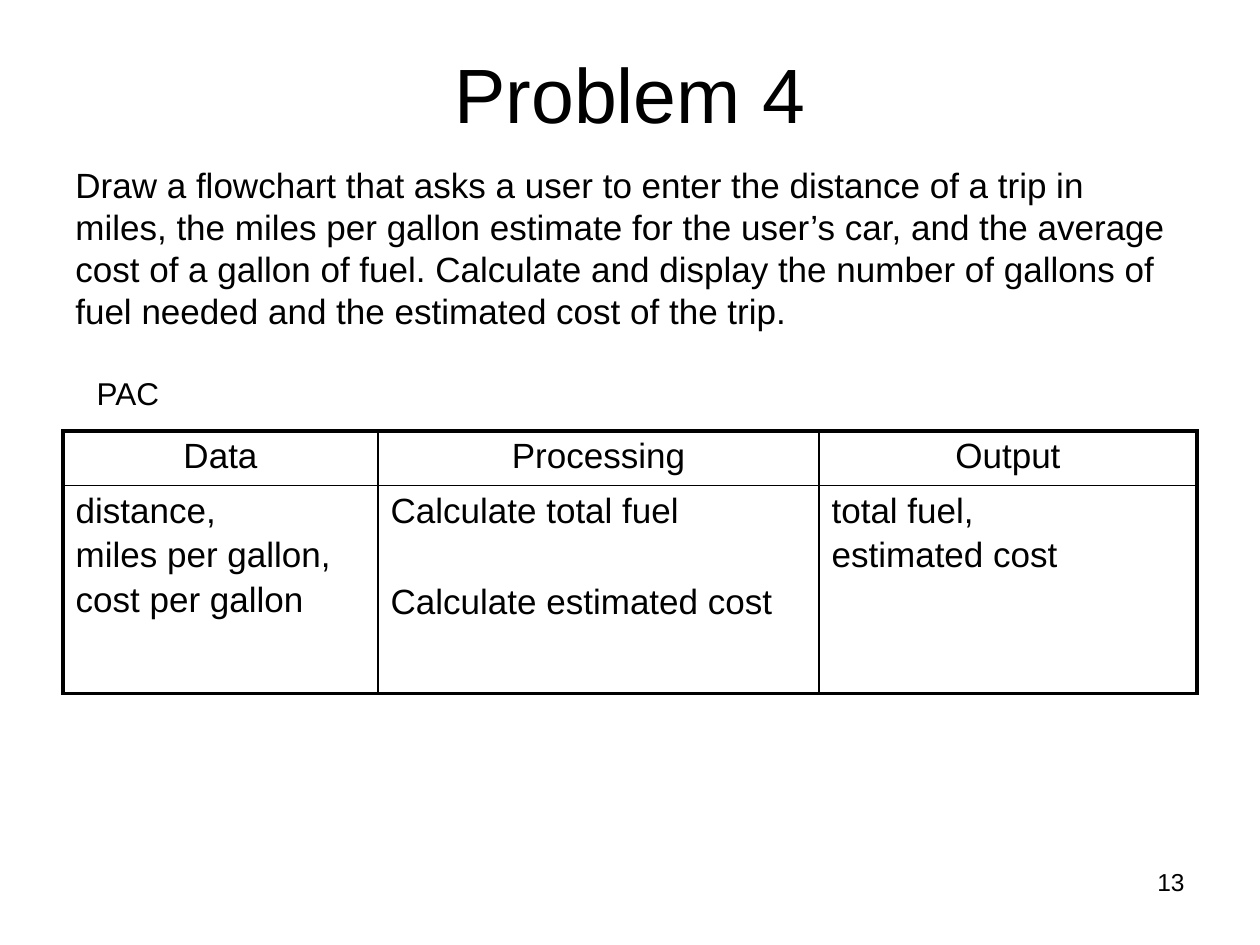
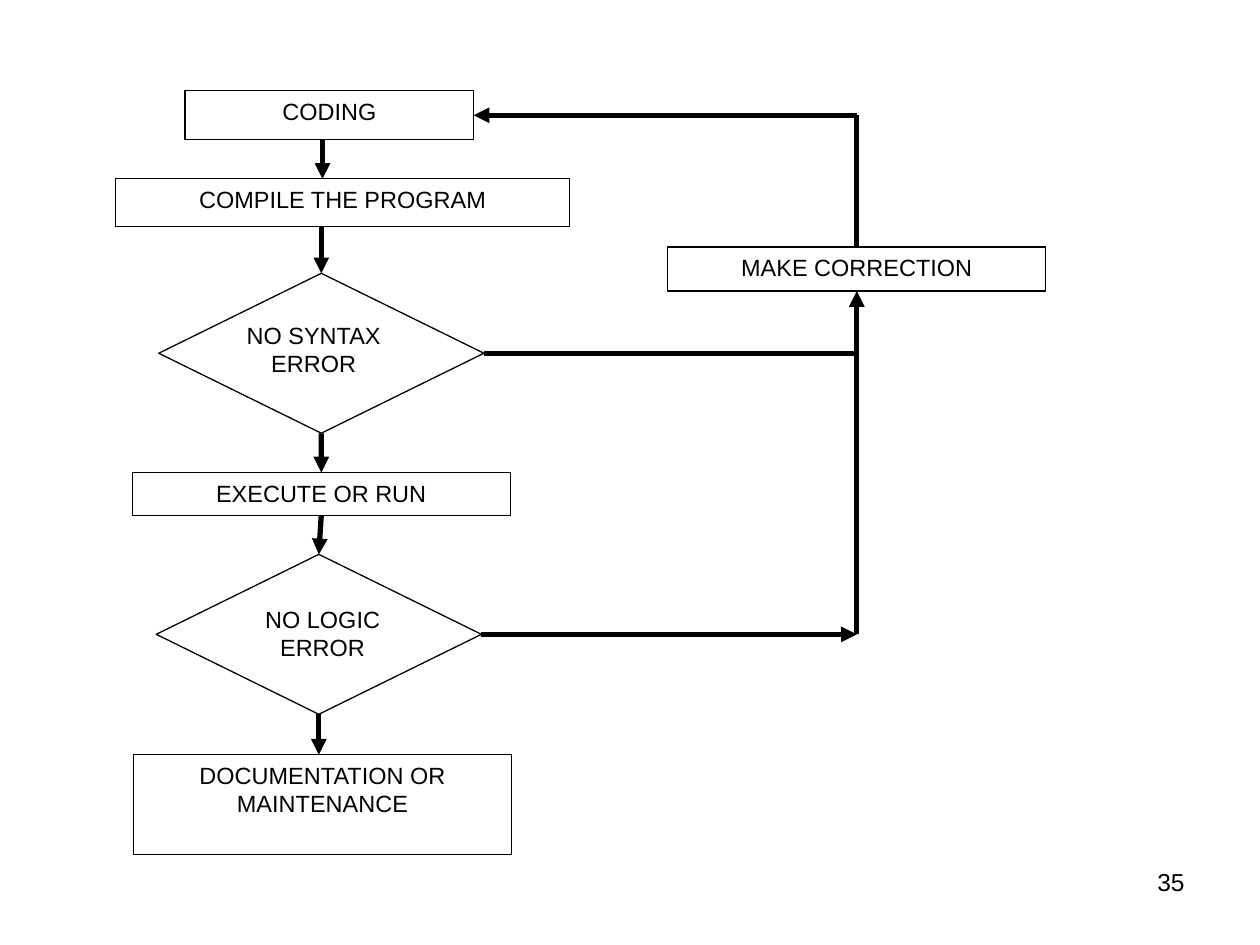
import lxml.etree
import pptx
import pptx.dml.color
import pptx.enum.shapes
import pptx.enum.text
import pptx.oxml.ns
import pptx.util

Pt = pptx.util.Pt
ALIGN = pptx.enum.text.PP_ALIGN
ANCHOR = pptx.enum.text.MSO_ANCHOR
SHAPE = pptx.enum.shapes.MSO_SHAPE
STRAIGHT = pptx.enum.shapes.MSO_CONNECTOR.STRAIGHT
TOP, LEFT, BOTTOM, RIGHT = range(4)


def color(text):
    return pptx.dml.color.RGBColor.from_string(text)


def add_element(parent, tag, **attributes):
    return lxml.etree.SubElement(parent, pptx.oxml.ns.qn(tag), attributes)


class Page:
    """Draws elements in the shared style on one slide of a deck."""

    font = "Arial"
    ink = "000000"
    paper = "FFFFFF"
    chart_size = 13.4

    def __init__(self, deck, number):
        self.slide = deck.slides.add_slide(deck.slide_layouts[6])
        self.shapes = self.slide.shapes
        background = self.slide.background.fill
        background.solid()
        background.fore_color.rgb = color(self.paper)
        self.text(str(number), 516.2, 491.8, 167.8, 37.4, 14, ALIGN.RIGHT)

    def set_text(self, frame, text, size, align, gaps=()):
        frame.text = text
        for para in frame.paragraphs:
            para.alignment = align
            for span in para.runs:
                span.font.name = self.font
                span.font.size = Pt(size)
                span.font.color.rgb = color(self.ink)
        for para, gap in zip(frame.paragraphs[1:], gaps):
            para.space_before = Pt(gap)

    def text(self, text, left, top, width, height, size,
             align=ALIGN.LEFT, anchor=ANCHOR.TOP, wrap=True):
        box = self.shapes.add_textbox(Pt(left), Pt(top), Pt(width), Pt(height))
        box.text_frame.word_wrap = wrap
        box.text_frame.vertical_anchor = anchor
        self.set_text(box.text_frame, text, size, align)

    def title(self, text):
        self.text(text, 36, 21.6, 648, 62.6, 44, ALIGN.CENTER, ANCHOR.MIDDLE)

    def shape(self, kind, left, top, width, height):
        shape = self.shapes.add_shape(kind, Pt(left), Pt(top), Pt(width), Pt(height))
        shape.shadow.inherit = False
        shape.fill.solid()
        shape.fill.fore_color.rgb = color(self.paper)
        shape.line.color.rgb = color(self.ink)
        shape.line.width = Pt(0.75)
        return shape

    def step(self, text, left, top, width, height):
        box = self.shape(SHAPE.RECTANGLE, left, top, width, height)
        frame = box.text_frame
        frame.word_wrap = True
        frame.vertical_anchor = ANCHOR.TOP
        frame.margin_left = frame.margin_right = Pt(0.7)
        self.set_text(frame, text, self.chart_size, ALIGN.CENTER)
        return box

    def decision(self, text, left, top, label_left, label_top):
        diamond = self.shape(SHAPE.DIAMOND, left, top, 185.8, 91.4)
        self.text(text, label_left, label_top, 119.5, 41, self.chart_size, ALIGN.CENTER)
        return diamond

    def line(self, start, end, arrow=True):
        """Join two ends, each a point (x, y) or a pair (shape, side)."""
        joined = [not isinstance(target, (int, float)) for target, _ in (start, end)]
        points = [(0, 0) if join else point for join, point in zip(joined, (start, end))]
        line = self.shapes.add_connector(STRAIGHT, *(Pt(v) for point in points for v in point))
        if joined[0]:
            line.begin_connect(*start)
        if joined[1]:
            line.end_connect(*end)
        line.line.color.rgb = color(self.ink)
        line.line.width = Pt(3)
        properties = line._element.spPr
        if arrow:
            add_element(properties.get_or_add_ln(), "a:tailEnd", type="triangle")
        add_element(properties, "a:effectLst")

    def border(self, cell, widths):
        properties = cell._tc.get_or_add_tcPr()
        for side, width in zip("LRTB", widths):
            edge = add_element(properties, f"a:ln{side}", w=str(Pt(width)))
            fill = add_element(edge, "a:solidFill")
            add_element(fill, "a:srgbClr", val=self.ink)

    def table(self, rows, left, top, widths, heights):
        last_row, last_column = len(heights) - 1, len(widths) - 1
        table = self.shapes.add_table(len(heights), len(widths), Pt(left), Pt(top),
                                      Pt(sum(widths)), Pt(sum(heights))).table
        table.first_row = table.horz_banding = False
        for column, width in zip(table.columns, widths):
            column.width = Pt(width)
        for r, (row, height) in enumerate(zip(rows, heights)):
            table.rows[r].height = Pt(height)
            for c, (text, gaps) in enumerate(row):
                cell = table.cell(r, c)
                outer = (c == 0, c == last_column, r == 0, r == last_row)
                self.border(cell, [2.25 if edge else 1 for edge in outer])
                cell.fill.solid()
                cell.fill.fore_color.rgb = color(self.paper)
                align = ALIGN.LEFT if r else ALIGN.CENTER
                self.set_text(cell.text_frame, text, 20, align, gaps)


def problem_page(deck):
    page = Page(deck, 13)
    page.title("Problem 4")
    page.text("Draw a flowchart that asks a user to enter the distance of a trip in miles, "
              "the miles per gallon estimate for the user’s car, and the average cost of a "
              "gallon of fuel. Calculate and display the number of gallons of fuel needed "
              "and the estimated cost of the trip.", 36, 90, 648, 392.4, 20)
    header = [(name, ()) for name in ("Data", "Processing", "Output")]
    analysis = [("distance,\nmiles per gallon,\ncost per gallon", (3, 3)),
                ("Calculate total fuel\nCalculate estimated cost", (29.5,)),
                ("total fuel,\nestimated cost", (3,))]
    page.table([header, analysis], 36, 246.2, (180, 252, 216), (31, 118.8))
    page.text("PAC", 48.2, 210.2, 50.4, 28.8, 18, wrap=False)


def flowchart_page(deck):
    page = Page(deck, 35)
    coding = page.step("CODING", 105.8, 51.8, 164.9, 28.1)
    page.step("COMPILE THE PROGRAM", 66.2, 102.2, 259.2, 27.4)
    syntax = page.decision("NO SYNTAX\nERROR", 90.7, 156.2, 119.5, 180)
    execute = page.step("EXECUTE OR RUN", 75.6, 270, 216, 24.5)
    logic = page.decision("NO LOGIC\nERROR", 89.3, 316.8, 124.6, 342)
    page.step("DOCUMENTATION OR MAINTENANCE", 76.3, 431.3, 216, 56.9)
    correction = page.step("MAKE CORRECTION", 381.6, 141.1, 216, 25.2)

    page.line((184.3, 79.9), (184.3, 102.2))
    page.line((183.6, 129.6), (syntax, TOP))
    page.line((syntax, BOTTOM), (execute, TOP))
    page.line((execute, BOTTOM), (logic, TOP))
    page.line((logic, BOTTOM), (182.2, 431.3))

    return_x, coding_y, syntax_y, logic_y = 489.6, 65.85, 201.9, 362.5
    page.line((syntax, RIGHT), (return_x, syntax_y), arrow=False)
    page.line((logic, RIGHT), (return_x, logic_y))
    page.line((return_x, logic_y), (return_x, syntax_y), arrow=False)
    page.line((return_x, syntax_y), (correction, BOTTOM))
    page.line((correction, TOP), (return_x, coding_y), arrow=False)
    page.line((return_x, coding_y), (coding, RIGHT))


def main():
    deck = pptx.Presentation()
    deck.slide_width, deck.slide_height = Pt(720), Pt(540)
    problem_page(deck)
    flowchart_page(deck)
    deck.save("out.pptx")


if __name__ == "__main__":
    main()
